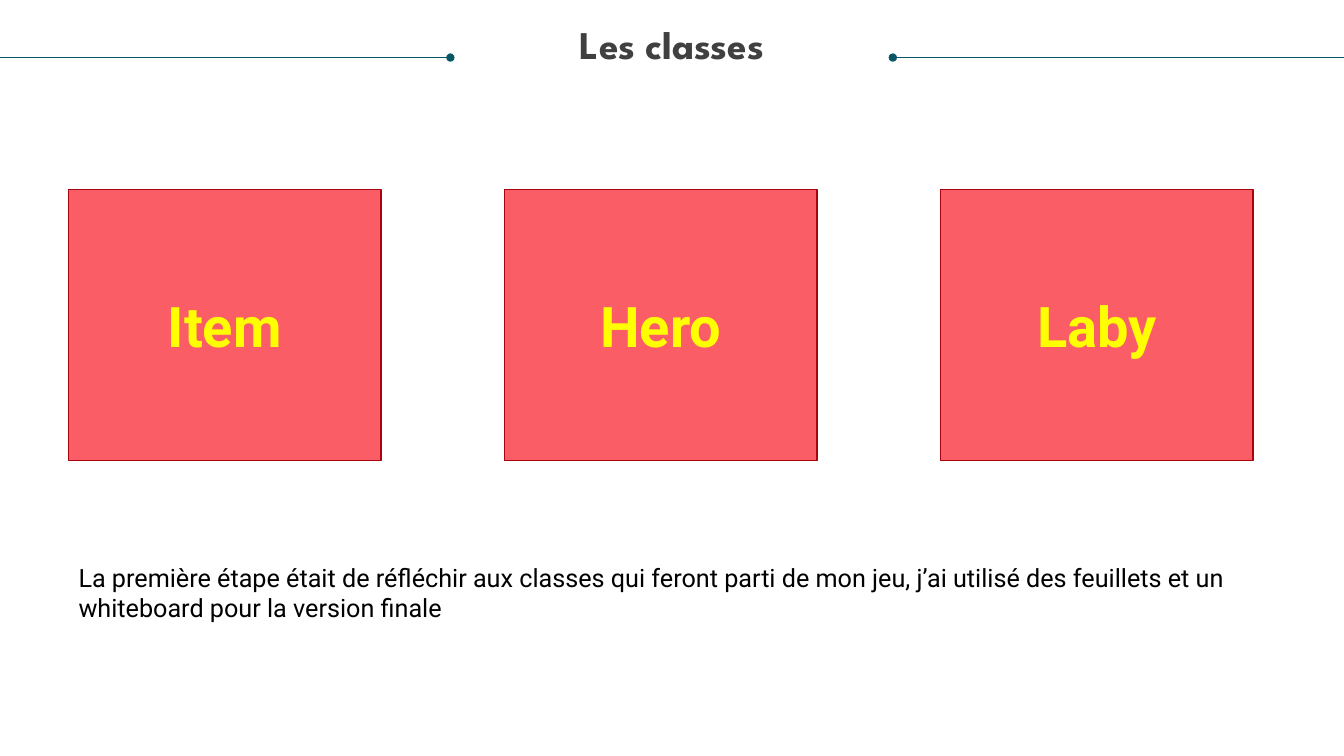
from lxml.etree import SubElement
from pptx import Presentation
from pptx.dml.color import RGBColor
from pptx.enum.shapes import MSO_CONNECTOR, MSO_SHAPE
from pptx.enum.text import MSO_ANCHOR, MSO_AUTO_SIZE, PP_ALIGN
from pptx.oxml.ns import qn
from pptx.util import Cm, Pt

HEADING = "Les classes"
CLASSES = ["Item", "Hero", "Laby"]
EXPLANATION = (
    "La première étape était de réfléchir aux classes qui feront parti de mon jeu, "
    "j’ai utilisé des feuillets et un whiteboard pour la version finale"
)

TEAL = RGBColor(0x08, 0x57, 0x64)
GREY = RGBColor(0x40, 0x40, 0x40)
CORAL = RGBColor(0xFB, 0x5D, 0x66)
DARK_RED = RGBColor(0xA7, 0x04, 0x0E)
YELLOW = RGBColor(0xFF, 0xFF, 0x00)
BLACK = RGBColor(0, 0, 0)

SLIDE_WIDTH, SLIDE_HEIGHT = 33.87, 19.05
RULE_Y = 1.45
RULES = [(11.35, 0), (22.5, SLIDE_WIDTH)]
MARGIN = 1.73
CARD_TOP, CARD_WIDTH, CARD_HEIGHT, CARD_PITCH = 4.78, 7.87, 6.83, 10.99


def write(frame, text, size, font_name, color, bold=False, align=PP_ALIGN.LEFT):
    frame.text = text
    frame.word_wrap = True
    paragraph = frame.paragraphs[0]
    paragraph.alignment = align
    font = paragraph.runs[0].font
    font.size, font.name, font.bold = Pt(size), font_name, bold
    font.color.rgb = color
    return paragraph


def add_rule(slide, inner_x, outer_x):
    rule = slide.shapes.add_connector(
        MSO_CONNECTOR.STRAIGHT, Cm(inner_x), Cm(RULE_Y), Cm(outer_x), Cm(RULE_Y)
    )
    rule.line.color.rgb = TEAL
    rule.line.width = Pt(0.5)
    SubElement(rule.line._get_or_add_ln(), qn("a:headEnd"), type="oval")
    SubElement(rule._element.spPr, qn("a:effectLst"))


def add_card(slide, index, name):
    card = slide.shapes.add_shape(
        MSO_SHAPE.RECTANGLE, Cm(MARGIN + index * CARD_PITCH), Cm(CARD_TOP),
        Cm(CARD_WIDTH), Cm(CARD_HEIGHT),
    )
    card.shadow.inherit = False
    card.fill.solid()
    card.fill.fore_color.rgb = CORAL
    card.line.color.rgb = DARK_RED
    card.line.width = Pt(1)
    card.text_frame.vertical_anchor = MSO_ANCHOR.MIDDLE
    write(card.text_frame, name, 40, "Roboto", YELLOW, True, PP_ALIGN.CENTER)


def main():
    deck = Presentation()
    deck.slide_width, deck.slide_height = Cm(SLIDE_WIDTH), Cm(SLIDE_HEIGHT)
    slide = deck.slides.add_slide(deck.slide_layouts[5])

    heading = slide.shapes.title
    heading.left, heading.top = Cm(0.64), Cm(0.64)
    heading.width, heading.height = Cm(32.59), Cm(2.16)
    frame = heading.text_frame
    frame.margin_left = frame.margin_top = frame.margin_right = frame.margin_bottom = 0
    frame.vertical_anchor = MSO_ANCHOR.TOP
    frame.auto_size = MSO_AUTO_SIZE.NONE
    line = write(frame, HEADING, 28, "League Spartan", GREY, True, PP_ALIGN.CENTER)
    line.line_spacing = 0.9
    line.space_before = Pt(0)

    for inner_x, outer_x in RULES:
        add_rule(slide, inner_x, outer_x)
    for index, name in enumerate(CLASSES):
        add_card(slide, index, name)

    explanation = slide.shapes.add_textbox(Cm(MARGIN), Cm(14.05), Cm(30.71), Cm(1.8))
    write(explanation.text_frame, EXPLANATION, 18, "Roboto", BLACK)

    deck.save("out.pptx")


if __name__ == "__main__":
    main()
